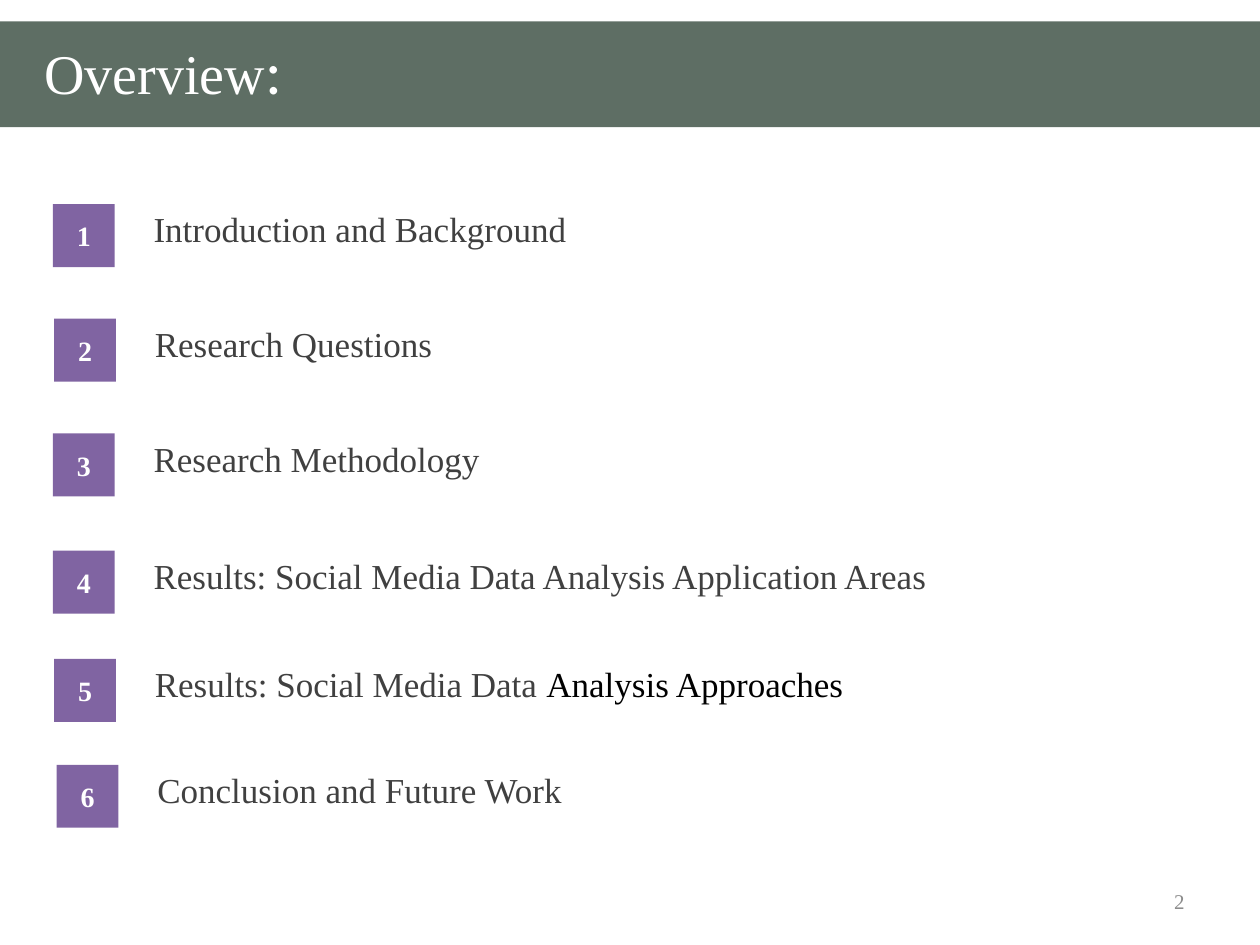
from pptx import Presentation
from pptx import util as u
from pptx.dml.color import RGBColor
from pptx.enum import shapes, text

SERIF = "Times New Roman"
WHITE, GREY, BLACK = "FFFFFF", "404040", "000000"
GREEN, PURPLE, PALE = "5E6E64", "8064A2", "8C8C8C"
WIDTH, HEIGHT = 10, 7.5

# Left and top of each badge, width of its label, runs of the label
AGENDA = [
    (0.42, 1.62, 4.68, [("Introduction and Background", GREY)]),
    (0.43, 2.53, 3.45, [("Research Questions", GREY)]),
    (0.42, 3.44, 4.69, [("Research Methodology", GREY)]),
    (0.42, 4.37, 7.88,
     [("Results: Social Media Data Analysis Application Areas", GREY)]),
    (0.43, 5.23, 8.08,
     [("Results: Social Media Data ", GREY), ("Analysis Approaches", BLACK)]),
    (0.45, 6.07, 4.27, [("Conclusion and Future Work", GREY)]),
]


def color(value):
    """Turn a hex string into a colour."""
    return RGBColor.from_string(value)


def box(*lengths):
    """Convert lengths in inches."""
    return [u.Inches(n) for n in lengths]


def add_run(p, words, size, fill, font=SERIF, bold=False):
    """Add one formatted run to a paragraph."""
    r = p.add_run()
    r.text = words
    r.font.name, r.font.size, r.font.bold = font, u.Pt(size), bold
    r.font.color.rgb = color(fill)


def add_rect(s, at, fill):
    """Add a flat rectangle without outline."""
    sp = s.shapes.add_shape(shapes.MSO_SHAPE.RECTANGLE, *box(*at))
    sp.shadow.inherit = False
    sp.fill.solid()
    sp.fill.fore_color.rgb = color(fill)
    sp.line.fill.background()
    return sp


def set_frame(sp, align, anchor):
    """Wrap, align and anchor a shape's text; return its first paragraph."""
    tf = sp.text_frame
    tf.word_wrap = True
    tf.vertical_anchor = anchor
    p = tf.paragraphs[0]
    p.alignment = align
    return p


def add_title(s):
    """Add the title band and put the title on it."""
    band = add_rect(s, (0, 0.17, WIDTH, 0.84), GREEN)
    title = s.shapes.title
    title.left, title.top, title.width, title.height = box(0.25, 0.04, 8.42, 1.02)
    band._element.addnext(title._element)
    p = set_frame(title, text.PP_ALIGN.LEFT, text.MSO_ANCHOR.MIDDLE)
    add_run(p, "Overview", 32, WHITE)
    add_run(p, ":", 36, WHITE, font="Calibri")


def add_item(s, number, left, top, width, runs):
    """Add a numbered badge and its label."""
    label = s.shapes.add_textbox(*box(left + 0.7, top - 0.02, width, 0.44))
    p = set_frame(label, text.PP_ALIGN.LEFT, text.MSO_ANCHOR.TOP)
    for words, fill in runs:
        add_run(p, words, 20, fill)
    badge = add_rect(s, (left, top, 0.49, 0.5), PURPLE)
    p = set_frame(badge, text.PP_ALIGN.CENTER, text.MSO_ANCHOR.MIDDLE)
    add_run(p, str(number), 16, WHITE, bold=True)


def add_page_number(s, number):
    """Add the page number at the lower right."""
    sp = s.shapes.add_textbox(*box(7.17, 6.95, 2.33, 0.4))
    p = set_frame(sp, text.PP_ALIGN.RIGHT, text.MSO_ANCHOR.MIDDLE)
    add_run(p, str(number), 12, PALE)


def main():
    """Build the overview slide."""
    prs = Presentation()
    prs.slide_width, prs.slide_height = box(WIDTH, HEIGHT)
    s = prs.slides.add_slide(prs.slide_layouts[5])
    add_title(s)
    for number, item in enumerate(AGENDA, 1):
        add_item(s, number, *item)
    add_page_number(s, 2)
    prs.save("out.pptx")


main()
